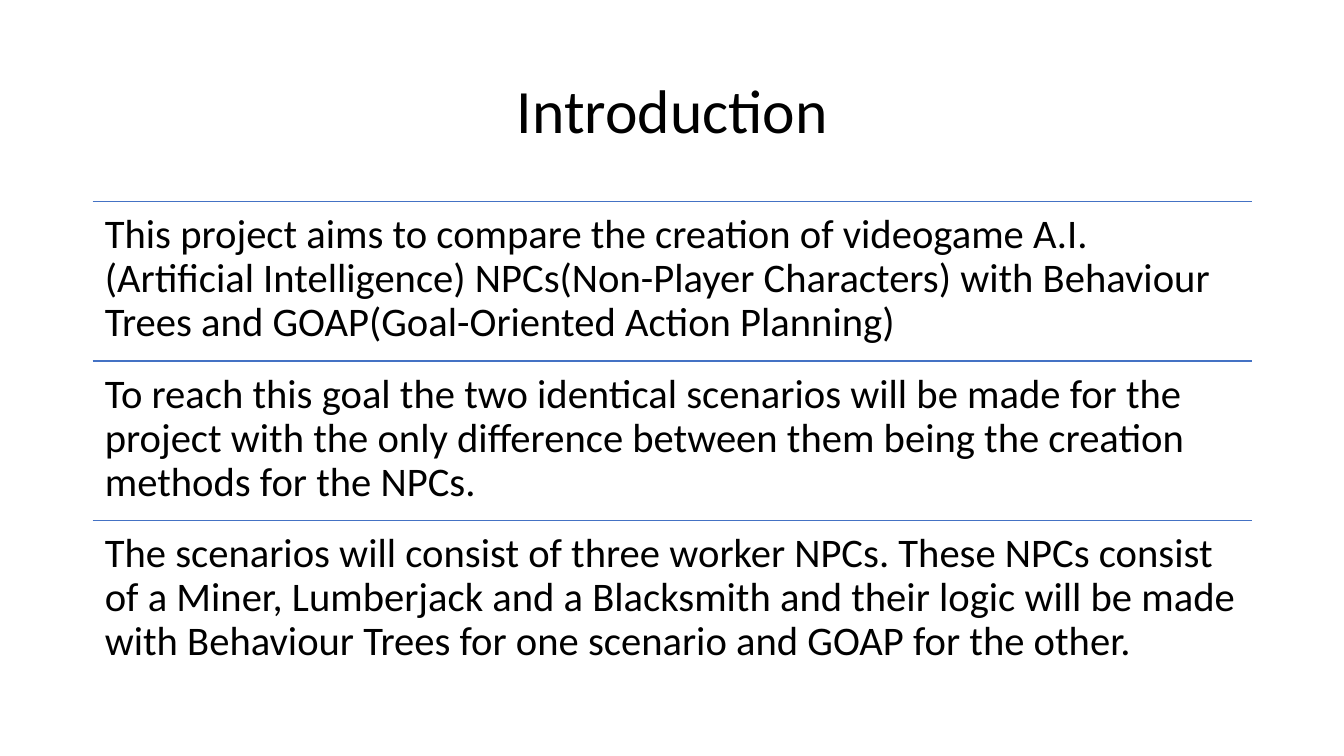
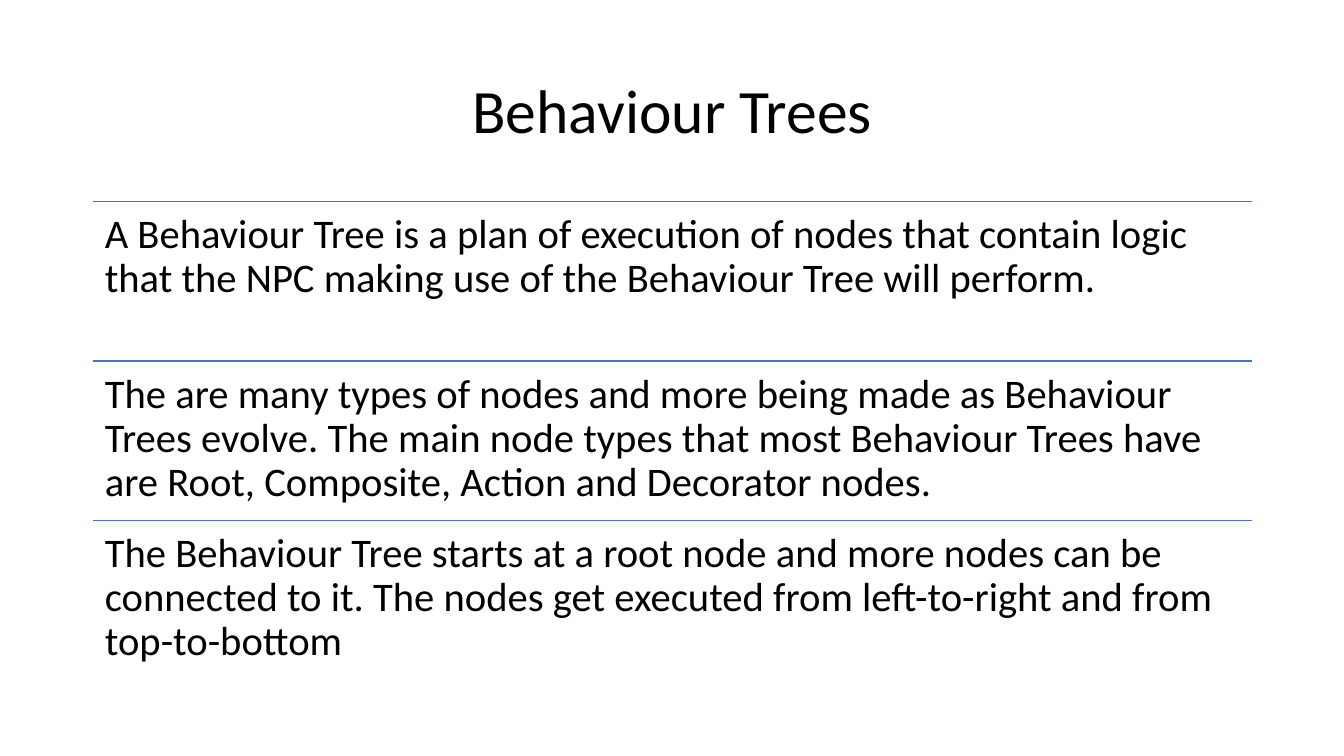
from lxml.etree import SubElement
from pptx import Presentation
from pptx.dml.color import RGBColor
from pptx.enum.shapes import MSO_CONNECTOR
from pptx.enum.text import MSO_ANCHOR, PP_ALIGN
from pptx.oxml.ns import qn
from pptx.util import Inches, Pt

INK = RGBColor(0x00, 0x00, 0x00)
RULE_BLUE = RGBColor(0x44, 0x72, 0xC4)
FONT = "Calibri"
TITLE_BOX = (Inches(0.92), Inches(0.4), Inches(11.5), Inches(1.45))
STATEMENTS_BOX = (Inches(0.92), Inches(2), Inches(11.5), Inches(4.75))

TOPICS = [
    ("Introduction", [
        "This project aims to compare the creation of videogame A.I. (Artificial Intelligence) "
        "NPCs(Non-Player Characters) with Behaviour Trees and GOAP(Goal-Oriented Action Planning)",
        "To reach this goal the two identical scenarios will be made for the project with the only "
        "difference between them being the creation methods for the NPCs.",
        "The scenarios will consist of three worker NPCs. These NPCs consist of a Miner, Lumberjack "
        "and a Blacksmith and their logic will be made with Behaviour Trees for one scenario and "
        "GOAP for the other.",
    ]),
    ("Behaviour Trees", [
        "A Behaviour Tree is a plan of execution of nodes that contain logic that the NPC making "
        "use of the Behaviour Tree will perform.",
        "The are many types of nodes and more being made as Behaviour Trees evolve. The main node "
        "types that most Behaviour Trees have are Root, Composite, Action and Decorator nodes.",
        "The Behaviour Tree starts at a root node and more nodes can be connected to it. The nodes "
        "get executed from left-to-right and from top-to-bottom",
    ]),
]


def add_text(shapes, box, wording, size, align=PP_ALIGN.LEFT, anchor=MSO_ANCHOR.TOP):
    """Place one wrapped paragraph in the box and return its text frame."""
    frame = shapes.add_textbox(*box).text_frame
    frame.word_wrap = True
    frame.vertical_anchor = anchor
    frame.text = wording
    paragraph = frame.paragraphs[0]
    paragraph.alignment = align
    paragraph.line_spacing = 0.9
    font = paragraph.runs[0].font
    font.name, font.size, font.color.rgb = FONT, Pt(size), INK
    return frame


def add_rule(shapes, left, top, width):
    """Draw a thin horizontal rule without a shadow."""
    rule = shapes.add_connector(MSO_CONNECTOR.STRAIGHT, left, top, left + width, top)
    rule.line.color.rgb = RULE_BLUE
    rule.line.width = Pt(1)
    SubElement(rule.element.spPr, qn("a:effectLst"))


def add_statements(slide, box, statements):
    """Stack the statements in equal rows, each under a rule."""
    left, top, width, height = box
    row_height = height // len(statements)
    rows = slide.shapes.add_group_shape().shapes
    for index, statement in enumerate(statements):
        row_top = top + index * row_height
        add_rule(rows, left, row_top, width)
        frame = add_text(rows, (left, row_top, width, row_height), statement, 29)
        frame.margin_left = frame.margin_right = Inches(0.12)
        frame.margin_top = frame.margin_bottom = Inches(0.12)


def add_topic_slide(deck, title, statements):
    """Add a slide with a centred title above ruled statements."""
    slide = deck.slides.add_slide(deck.slide_layouts[6])
    add_text(slide.shapes, TITLE_BOX, title, 44, PP_ALIGN.CENTER, MSO_ANCHOR.MIDDLE)
    add_statements(slide, STATEMENTS_BOX, statements)


def main():
    """Build and save the deck."""
    deck = Presentation()
    deck.slide_width, deck.slide_height = Inches(13.33), Inches(7.5)
    for title, statements in TOPICS:
        add_topic_slide(deck, title, statements)
    deck.save("out.pptx")


if __name__ == "__main__":
    main()
